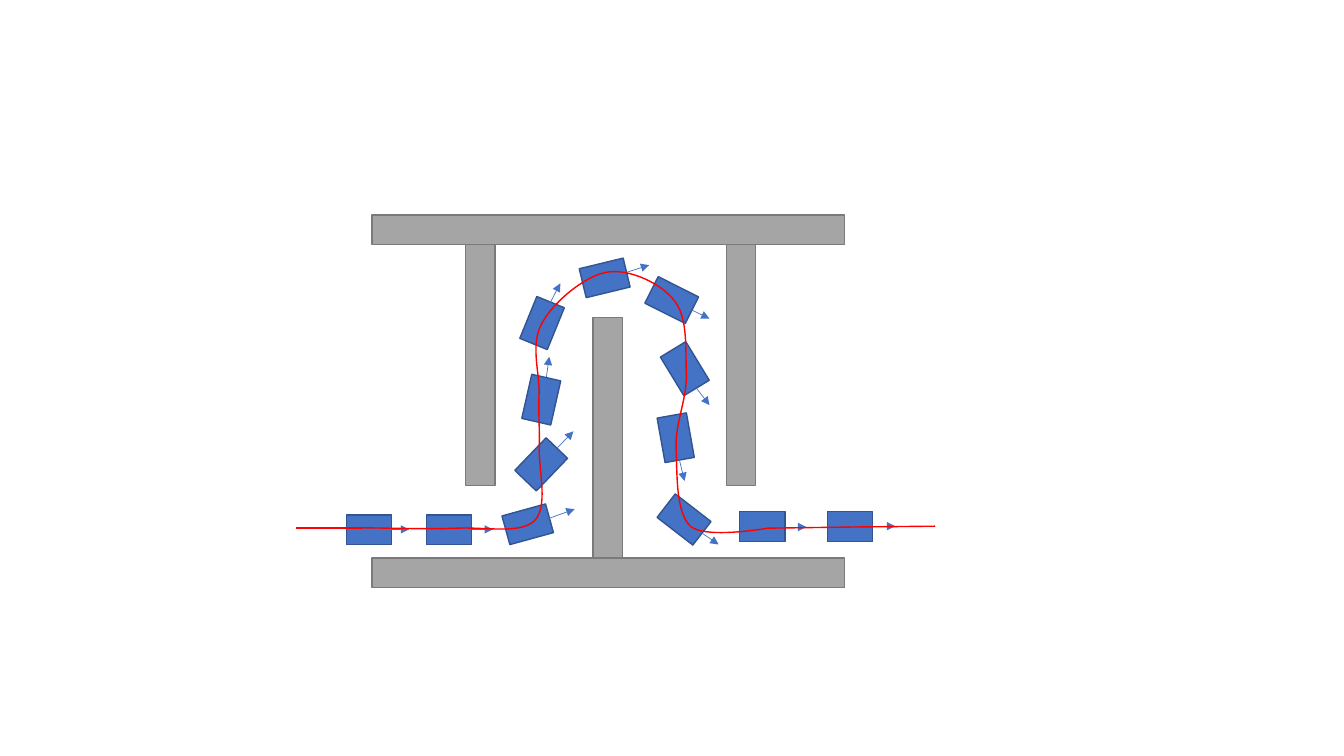
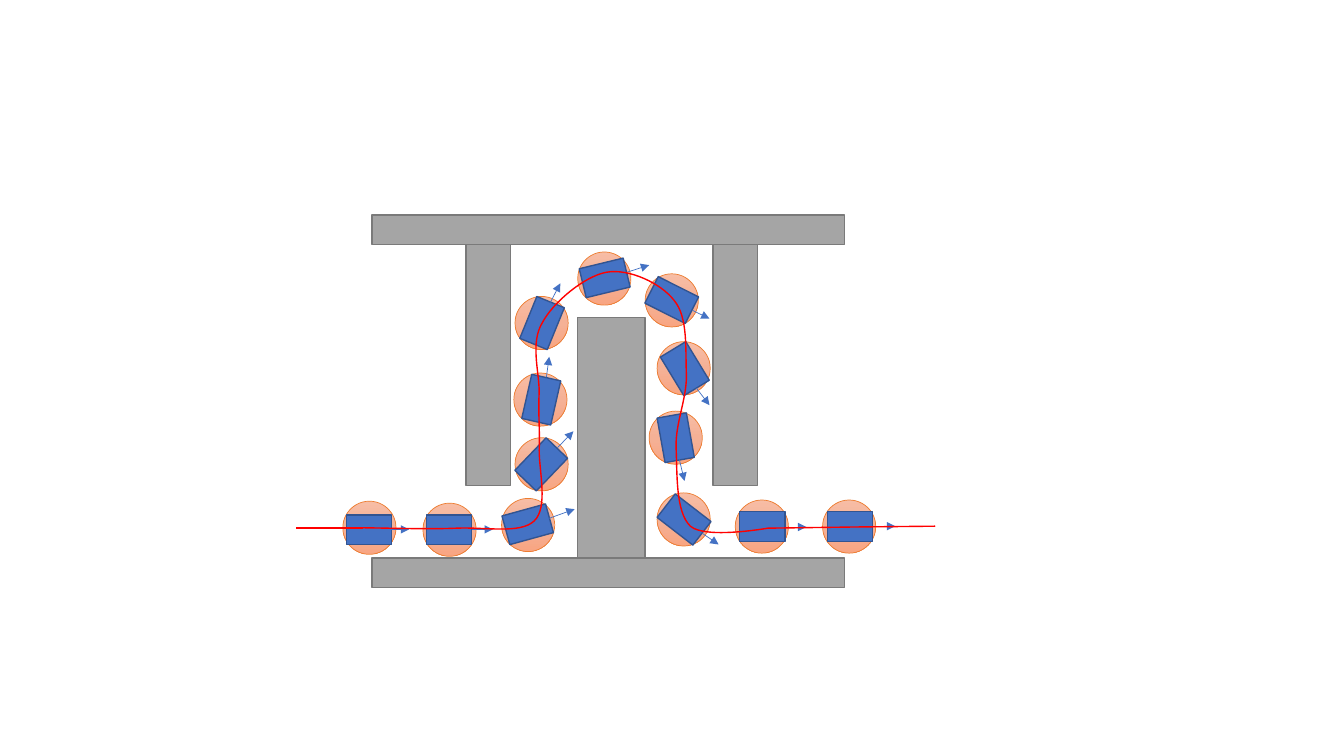
import copy

import pptx
import pptx.dml.color
import pptx.enum.shapes
import pptx.oxml
import pptx.oxml.ns
import pptx.util

Cm = pptx.util.Cm
Pt = pptx.util.Pt
qn = pptx.oxml.ns.qn
SHAPES = pptx.enum.shapes.MSO_SHAPE
NAMESPACE = pptx.oxml.ns.nsdecls("a")

WALL_FILL, WALL_LINE = "A5A5A5", "7A7A7A"
VEHICLE_FILL, VEHICLE_LINE = "4472C4", "325491"
ROUTE_LINE = "FF0000"
HALO_LINE = "ED7D31"
HALO_STOPS = [(0, "F7BDA5"), (0.5, "F5B196"), (1, "F8A582")]

WALL_THICKNESS = 0.74
BEAM_CENTER_X, BEAM_LENGTH = 15.33, 11.91
BEAM_CENTERS_Y = [5.79, 14.43]
POST_LENGTH = 6.07
VEHICLE_SIZE = (0.75, 1.14)
HALO_SIZE = (1.34, 1.34)

NARROW_POSTS = [(12.1, 9.2, 0.74), (15.31, 11.03, 0.74), (18.67, 9.2, 0.74)]
WIDE_POSTS = [(12.3, 9.2, 1.12), (15.4, 11.03, 1.7), (18.53, 9.2, 1.12)]

VEHICLES = [
    ((9.3, 13.35), 270, (9.42, 13.34), (10.31, 13.34)),
    ((11.32, 13.35), 270, (11.89, 13.34), (12.42, 13.34)),
    ((13.3, 13.21), 254.6, (13.84, 13.06), (14.48, 12.83)),
    ((13.64, 11.7), 223.8, (14.05, 11.28), (14.45, 10.87)),
    ((13.64, 10.07), 192.8, (13.77, 9.5), (13.84, 8.99)),
    ((13.66, 8.14), 202.2, (13.87, 7.62), (14.12, 7.14)),
    ((15.24, 7), 256.4, (15.8, 6.86), (16.36, 6.68)),
    ((16.93, 7.56), 296.7, (17.45, 7.82), (17.88, 8.03)),
    ((17.26, 9.29), 328.7, (17.55, 9.78), (17.88, 10.21)),
    ((17.03, 11.03), 349.9, (17.12, 11.58), (17.25, 12.12)),
    ((17.24, 13.09), 307.7, (17.7, 13.44), (18.11, 13.72)),
    ((19.21, 13.27), 270, (19.79, 13.28), (20.32, 13.28)),
    ((21.42, 13.27), 270, (22, 13.26), (22.56, 13.26)),
]
HALO_CENTERS = [
    (9.31, 13.3), (11.33, 13.35), (13.31, 13.23), (13.65, 11.7),
    (13.62, 10.07), (13.65, 8.14), (15.23, 7.02), (16.93, 7.57),
    (17.23, 9.28), (17.03, 11.03), (17.23, 13.09), (19.2, 13.27),
    (21.4, 13.27),
]

ENTRY = (7.47, 13.3)
ROUTE_START = (9.14, 13.3)
ROUTE_TOP, ROUTE_HEIGHT = 6.86, 6.58
ROUTE_CURVES = [
    ((9.96, 13.31), (10.8, 13.34), (11.51, 13.31)),
    ((12.24, 13.28), (13.11, 13.46), (13.46, 13.13)),
    ((13.82, 12.8), (13.59, 11.89), (13.59, 11.35)),
    ((13.61, 10.8), (13.56, 10.41), (13.59, 9.88)),
    ((13.59, 9.35), (13.36, 8.64), (13.67, 8.13)),
    ((13.94, 7.62), (14.73, 6.96), (15.29, 6.86)),
    ((15.85, 6.76), (16.66, 7.14), (16.99, 7.57)),
    ((17.35, 8), (17.27, 8.84), (17.3, 9.47)),
    ((17.3, 10.08), (17.02, 10.67), (17.04, 11.28)),
    ((17.07, 11.91), (17.02, 12.9), (17.4, 13.26)),
    ((17.78, 13.59), (19.35, 13.31), (19.35, 13.31)),
]
ROUTE_EXIT = [(21.56, 13.28), (23.57, 13.26)]


def color(value):
    return pptx.dml.color.RGBColor.from_string(value)


def set_line(shape, value, width):
    shape.line.color.rgb = color(value)
    shape.line.width = Pt(width)


def add_block(shapes, kind, center, size, line, width=1, fill=None, rotation=0):
    (x, y), (across, down) = center, size
    block = shapes.add_shape(
        kind, Cm(x - across / 2), Cm(y - down / 2), Cm(across), Cm(down))
    block.rotation = rotation
    block.shadow.inherit = False
    set_line(block, line, width)
    if fill:
        block.fill.solid()
        block.fill.fore_color.rgb = color(fill)
    return block


def add_line(shapes, start, end, value, width, arrow=False):
    line = shapes.add_connector(
        pptx.enum.shapes.MSO_CONNECTOR.STRAIGHT,
        *(Cm(length) for length in (*start, *end)))
    set_line(line, value, width)
    properties = line._element.spPr
    if arrow:
        properties.find(qn("a:ln")).append(
            pptx.oxml.parse_xml(f'<a:tailEnd {NAMESPACE} type="triangle"/>'))
    properties.append(pptx.oxml.parse_xml(f"<a:effectLst {NAMESPACE}/>"))


def add_halo(shapes, center):
    halo = add_block(shapes, SHAPES.OVAL, center, HALO_SIZE, HALO_LINE, width=0.5)
    halo.fill.gradient()
    halo.fill.gradient_angle = 270
    stops = halo._element.spPr.find(".//" + qn("a:gsLst"))
    stops.insert(1, copy.deepcopy(stops[0]))
    for stop, (position, value) in zip(halo.fill.gradient_stops, HALO_STOPS):
        stop.position = position
        stop.color.rgb = color(value)


def add_walls(shapes, posts):
    for y in BEAM_CENTERS_Y:
        add_block(shapes, SHAPES.RECTANGLE, (BEAM_CENTER_X, y),
                  (BEAM_LENGTH, WALL_THICKNESS), WALL_LINE, fill=WALL_FILL)
    for x, y, thickness in posts:
        add_block(shapes, SHAPES.RECTANGLE, (x, y), (POST_LENGTH, thickness),
                  WALL_LINE, fill=WALL_FILL, rotation=90)


def add_vehicles(shapes):
    for center, rotation, _, _ in VEHICLES:
        add_block(shapes, SHAPES.RECTANGLE, center, VEHICLE_SIZE, VEHICLE_LINE,
                  fill=VEHICLE_FILL, rotation=rotation)
    for _, _, start, end in VEHICLES:
        add_line(shapes, start, end, VEHICLE_FILL, 0.5, arrow=True)


def bend_segments(route):
    outline = route._element.spPr.find(".//" + qn("a:path"))
    for segment, curve in zip(outline.findall(qn("a:lnTo")), ROUTE_CURVES):
        points = "".join(
            f'<a:pt x="{Cm(x - ROUTE_START[0])}" y="{Cm(y - ROUTE_TOP)}"/>'
            for x, y in curve)
        outline.replace(segment, pptx.oxml.parse_xml(
            f"<a:cubicBezTo {NAMESPACE}>{points}</a:cubicBezTo>"))
    outline.set("h", str(Cm(ROUTE_HEIGHT)))
    route.height = Cm(ROUTE_HEIGHT)


def add_route(shapes):
    builder = shapes.build_freeform(*(Cm(length) for length in ROUTE_START))
    knots = [curve[-1] for curve in ROUTE_CURVES] + ROUTE_EXIT
    builder.add_line_segments([(Cm(x), Cm(y)) for x, y in knots], close=False)
    route = builder.convert_to_shape()
    bend_segments(route)
    route.fill.background()
    route.shadow.inherit = False
    set_line(route, ROUTE_LINE, 1)
    add_line(shapes, ROUTE_START, ENTRY, ROUTE_LINE, 1)


def add_course(shapes, posts, halos=()):
    for center in reversed(halos):
        add_halo(shapes, center)
    add_walls(shapes, posts)
    add_vehicles(shapes)
    add_route(shapes)


def main():
    deck = pptx.Presentation()
    deck.slide_width, deck.slide_height = Cm(33.87), Cm(19.05)
    blank = deck.slide_layouts[6]
    add_course(deck.slides.add_slide(blank).shapes, NARROW_POSTS)
    group = deck.slides.add_slide(blank).shapes.add_group_shape()
    add_course(group.shapes, WIDE_POSTS, HALO_CENTERS)
    deck.save("out.pptx")


main()
